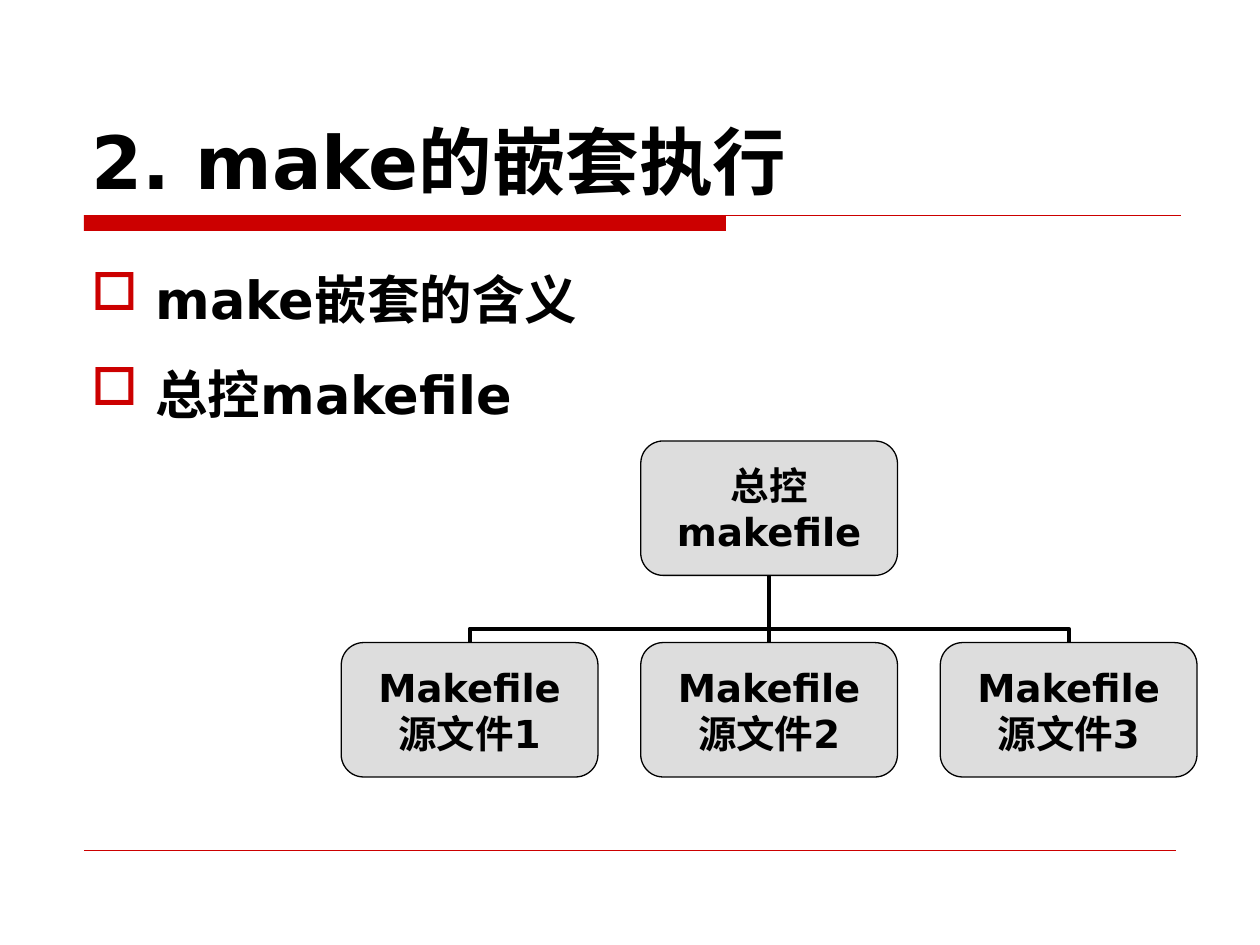
from dataclasses import dataclass
from lxml.etree import SubElement
from pptx import Presentation
from pptx.dml.color import RGBColor
from pptx.enum.shapes import MSO_CONNECTOR, MSO_SHAPE
from pptx.enum.text import MSO_ANCHOR, PP_ALIGN
from pptx.oxml.ns import qn
from pptx.util import Inches, Pt


@dataclass(frozen=True)
class Theme:
    font: str = "DejaVu Sans"
    ink: str = "000000"
    red: str = "CC0000"
    card: str = "DDDDDD"
    title: int = 42
    body: int = 30
    label: int = 22


theme = Theme()
CELL = Inches(10) // 240  # the slide is a grid of 240 columns by 180 rows


def grid(*cells):
    return [round(n * CELL) for n in cells]


def color(value):
    return RGBColor.from_string(value)


def write(para, text, size):
    run = para.add_run()
    run.text = text
    run.font.name = theme.font
    run.font.size = Pt(size)
    run.font.bold = True
    run.font.color.rgb = color(theme.ink)


def link(slide, kind, ends, tint, weight):
    line = slide.shapes.add_connector(kind, *ends)
    line.line.color.rgb = color(tint)
    line.line.width = Pt(weight)
    SubElement(line._element.spPr, qn("a:effectLst"))
    return line


def block(slide, kind, box, fill):
    shape = slide.shapes.add_shape(kind, *box)
    shape.shadow.inherit = False
    shape.fill.solid()
    shape.fill.fore_color.rgb = color(fill)
    return shape


def frame(slide, box, anchor):
    text = slide.shapes.add_textbox(*box).text_frame
    text.word_wrap = True
    text.vertical_anchor = anchor
    return text


# Red bar and hairline under the title
def rule(slide, box):
    x, y, w, h = box
    bar = block(slide, MSO_SHAPE.RECTANGLE, (x, y, round(w * 0.585), h), theme.red)
    bar.line.fill.background()
    link(slide, MSO_CONNECTOR.STRAIGHT, (x, y, x + w, y), theme.red, 0.75)


def foot(slide, box):
    x, y, w, h = box
    link(slide, MSO_CONNECTOR.STRAIGHT, (x, y, x + w, y + h), theme.red, 0.25)


def head(slide, box, text):
    area = frame(slide, box, MSO_ANCHOR.BOTTOM)
    write(area.paragraphs[0], text, theme.title)


# Bulleted points
def points(slide, box, items):
    area = frame(slide, box, MSO_ANCHOR.TOP)
    for i, item in enumerate(items):
        para = area.paragraphs[0] if i == 0 else area.add_paragraph()
        para.line_spacing = 1.3
        para.space_before = Pt(7.5 if i else 0)
        props = para._p.get_or_add_pPr()
        props.set("marL", str(Inches(0.51)))
        props.set("indent", str(-Inches(0.51)))
        tint = SubElement(props, qn("a:buClr"))
        SubElement(tint, qn("a:srgbClr")).set("val", theme.red)
        SubElement(props, qn("a:buChar")).set("char", "□")
        write(para, item, theme.body)


def card(slide, box, lines):
    shape = block(slide, MSO_SHAPE.ROUNDED_RECTANGLE, box, theme.card)
    shape.line.color.rgb = color(theme.ink)
    shape.line.width = Pt(0.75)
    area = shape.text_frame
    area.margin_left = area.margin_right = area.margin_top = area.margin_bottom = 0
    area.word_wrap = False
    area.vertical_anchor = MSO_ANCHOR.MIDDLE
    for i, line in enumerate(lines):
        para = area.paragraphs[0] if i == 0 else area.add_paragraph()
        para.alignment = PP_ALIGN.CENTER
        write(para, line, theme.label)
    return shape


# Link from a child's top to the root's bottom
def branch(slide, child, root):
    x1, y1 = child.left + child.width // 2, child.top
    x2, y2 = root.left + root.width // 2, root.top + root.height
    kind = MSO_CONNECTOR.STRAIGHT if x1 == x2 else MSO_CONNECTOR.ELBOW
    line = link(slide, kind, (x1, y1, x2, y2), theme.ink, 2.25)
    line.begin_connect(child, 0)
    line.end_connect(root, 2)
    if x1 == x2:
        return
    # Turn the elbow upright, so that it leaves the child vertically
    wide, tall = abs(x1 - x2), abs(y1 - y2)
    line.left, line.top = (x1 + x2 - tall) // 2, (y1 + y2 - wide) // 2
    line.width, line.height = tall, wide
    turn = line._element.spPr.find(qn("a:xfrm"))
    turn.set("rot", str(270 * 60000))
    turn.set("flipH", "0")
    turn.set("flipV", str(int(x1 > x2)))
    knobs = line._element.spPr.find(qn("a:prstGeom")).find(qn("a:avLst"))
    knob = SubElement(knobs, qn("a:gd"))
    knob.set("name", "adj1")
    knob.set("fmla", "val 20700")


# Root card over a row of three children
def tree(slide, box, top, kids):
    x, y, w, h = box
    wide, tall, step = round(w * 0.3), round(h * 0.4), round(w * 0.35)
    root = card(slide, (x + step, y, wide, tall), top)
    for i, lines in enumerate(kids):
        child = card(slide, (x + i * step, y + h - tall, wide, tall), lines)
        branch(slide, child, root)


def main():
    deck = Presentation()
    deck.slide_width, deck.slide_height = grid(240, 180)
    slide = deck.slides.add_slide(deck.slide_layouts[6])
    rule(slide, grid(16, 41, 209, 3))
    foot(slide, grid(16, 162, 208, 0))
    head(slide, grid(15, 8, 210, 32), "2. make的嵌套执行")
    points(slide, grid(15, 46, 103, 112), ["make嵌套的含义", "总控makefile"])
    kids = [("Makefile", f"源文件{n}") for n in (1, 2, 3)]
    tree(slide, grid(65, 84, 163, 64), ("总控", "makefile"), kids)
    deck.save("out.pptx")


if __name__ == "__main__":
    main()
